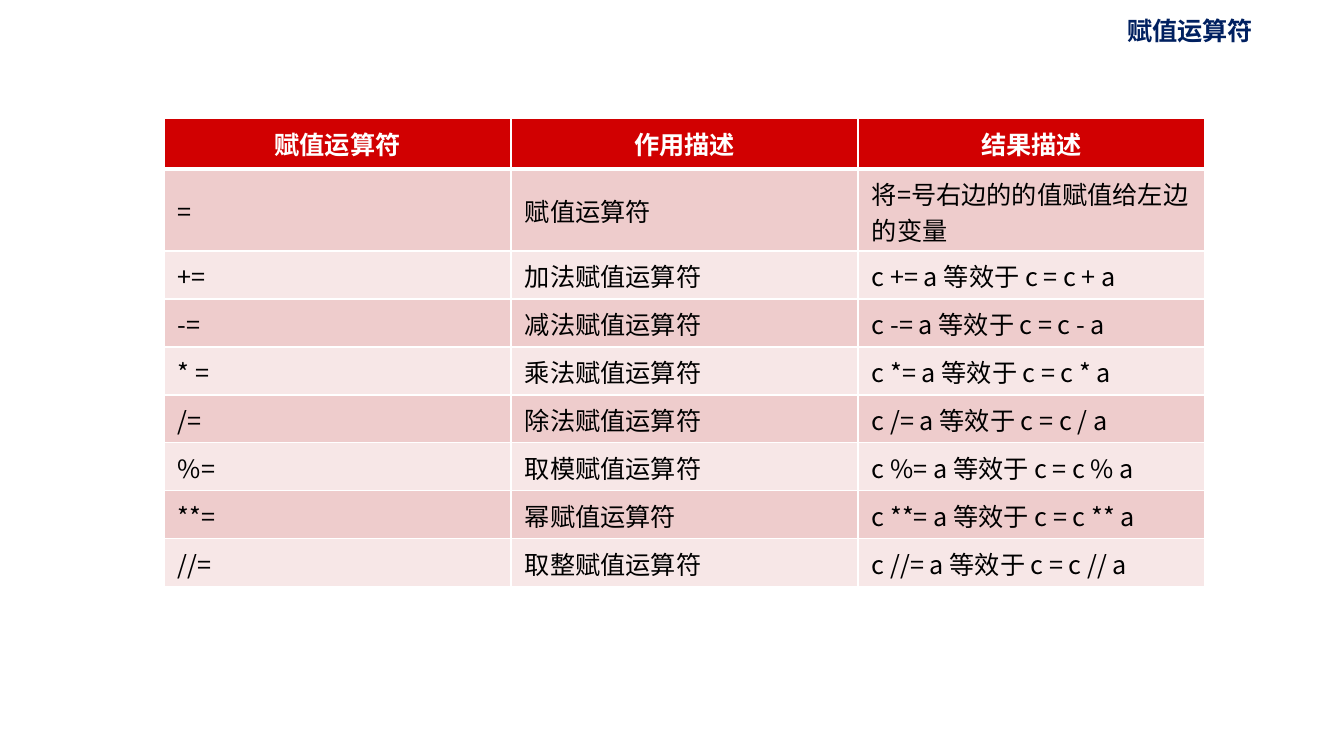
from lxml.etree import SubElement
from pptx import Presentation
from pptx.dml.color import RGBColor
from pptx.enum.text import MSO_ANCHOR, MSO_AUTO_SIZE, PP_ALIGN
from pptx.oxml import parse_xml
from pptx.oxml.ns import nsdecls, qn
from pptx.util import Pt

EMU_PER_INCH = 914400
PX_PER_INCH = 100.8
NAVY = RGBColor(0x00, 0x20, 0x60)
RED = RGBColor(0xD1, 0x00, 0x01)
ROSE = RGBColor(0xEE, 0xCC, 0xCC)
PALE_ROSE = RGBColor(0xF7, 0xE7, 0xE7)
WHITE = RGBColor(0xFF, 0xFF, 0xFF)
BLACK = RGBColor(0x00, 0x00, 0x00)

HEADERS = ["赋值运算符", "作用描述", "结果描述"]
OPERATORS = [
    ("+=", "加法", "+"),
    ("-=", "减法", "-"),
    ("* =", "乘法", "*"),
    ("/=", "除法", "/"),
    ("%=", "取模", "%"),
    ("**=", "幂", "**"),
    ("//=", "取整", "//"),
]
ROWS = [HEADERS, ["=", "赋值运算符", "将=号右边的的值赋值给左边的变量"]] + [
    [shown, f"{name}赋值运算符", f"c {op}= a 等效于 c = c {op} a"]
    for shown, name, op in OPERATORS
]
ROW_HEIGHTS = [51, 82] + [48] * len(OPERATORS)


def px(n):
    return round(n * EMU_PER_INCH / PX_PER_INCH)


def set_all(target, values):
    for name, value in values.items():
        setattr(target, name, value)


class SlideBuilder:
    font_name = "Noto Sans CJK SC"
    font_size = Pt(18)

    def __init__(self, prs):
        self.s = prs.slides.add_slide(prs.slide_layouts[5])

    def text(self, tf, text, color, bold, align):
        p = tf.paragraphs[0]
        p.alignment = align
        r = p.add_run()
        r.text = text
        set_all(r.font, {"name": self.font_name, "size": self.font_size, "bold": bold})
        r.font.color.rgb = color
        SubElement(r.font._element, qn("a:ea"), typeface=self.font_name)

    def title(self, text, left, top, width, height):
        sp = self.s.shapes.title
        set_all(sp, {"left": px(left), "top": px(top),
                     "width": px(width), "height": px(height)})
        tf = sp.text_frame
        set_all(tf, {"word_wrap": False, "auto_size": MSO_AUTO_SIZE.SHAPE_TO_FIT_TEXT,
                     "vertical_anchor": MSO_ANCHOR.TOP})
        self.text(tf, text, NAVY, True, PP_ALIGN.LEFT)

    def borders(self, cell, widths):
        """Draw white cell borders; widths maps each side (L, R, T, B) to points."""
        tc_pr = cell._tc.get_or_add_tcPr()
        for i, (side, width) in enumerate(widths.items()):
            tc_pr.insert(i, parse_xml(
                f'<a:ln{side} {nsdecls("a")} w="{Pt(width)}"><a:solidFill>'
                f'<a:srgbClr val="{WHITE}"/></a:solidFill></a:ln{side}>'))

    def cell(self, cell, text, row):
        header = row == 0
        set_all(cell, {"margin_left": px(14), "margin_right": px(14),
                       "margin_top": px(6), "margin_bottom": px(6),
                       "vertical_anchor": MSO_ANCHOR.MIDDLE})
        cell.fill.solid()
        cell.fill.fore_color.rgb = RED if header else ROSE if row % 2 else PALE_ROSE
        self.borders(cell, {"L": 1, "R": 1, "T": 3 if row == 1 else 1,
                            "B": 3 if header else 1})
        self.text(cell.text_frame, text, WHITE if header else BLACK, header,
                  PP_ALIGN.CENTER if header else PP_ALIGN.LEFT)

    def table(self, rows, left, top, col_width, row_heights):
        cols = len(rows[0])
        table = self.s.shapes.add_table(
            len(rows), cols, px(left), px(top),
            px(col_width * cols), px(sum(row_heights))).table
        for col in table.columns:
            col.width = px(col_width)
        for i, (texts, height) in enumerate(zip(rows, row_heights)):
            table.rows[i].height = px(height)
            for j, text in enumerate(texts):
                self.cell(table.cell(i, j), text, i)


def main():
    prs = Presentation()
    set_all(prs, {"slide_width": px(1344), "slide_height": px(756)})
    builder = SlideBuilder(prs)
    builder.title("赋值运算符", 1117, 10, 147, 40)
    builder.table(ROWS, 164, 118, 347, ROW_HEIGHTS)
    prs.save("out.pptx")


if __name__ == "__main__":
    main()
